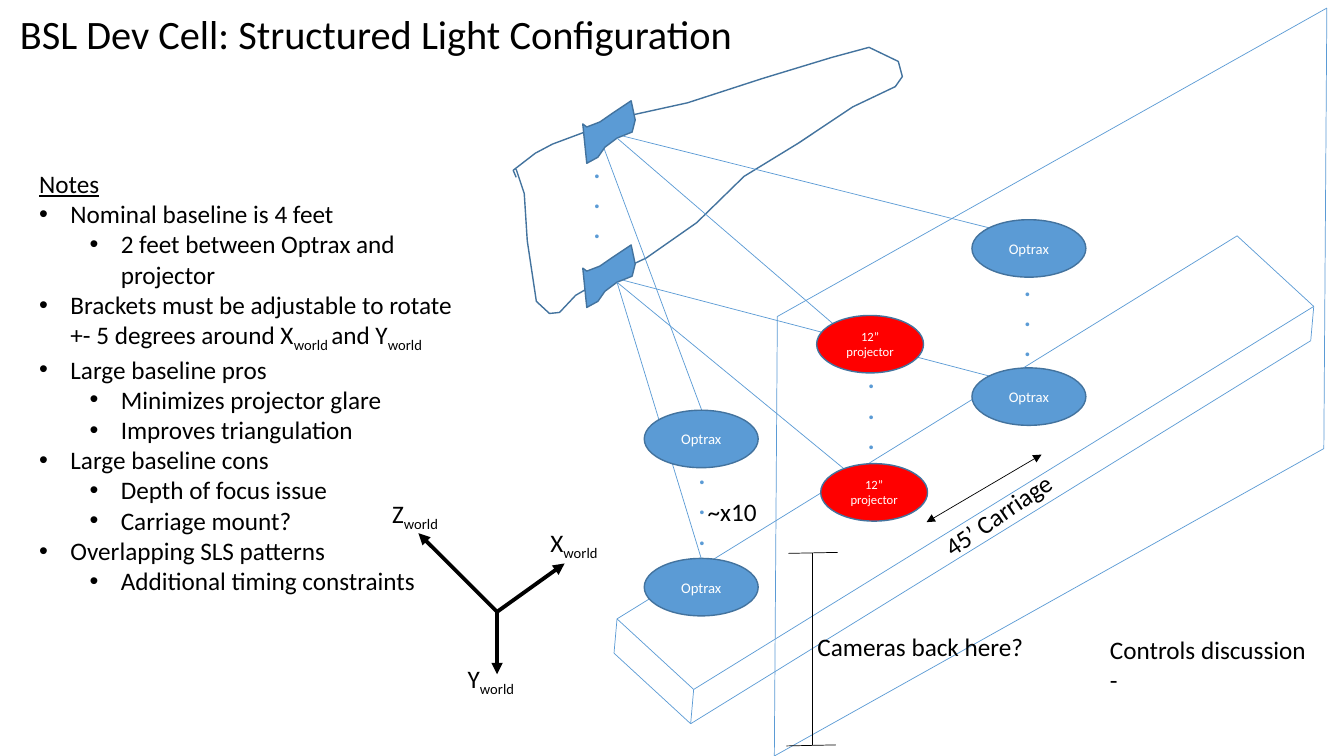
import pptx
import pptx.util
import pptx.dml.color
import pptx.enum.shapes
import pptx.enum.text
import pptx.oxml
import pptx.oxml.ns

PX = 9144  # 100 px to the inch
HUE = {"blue": "5B9BD5", "edge": "43739E", "red": "FF0000", "ink": "000000", "white": "FFFFFF"}
NS = pptx.oxml.ns.nsdecls("a")

WING = [
    (512, 168), (520, 192), (523, 239), (532, 299), (545, 311), (555, 310), (571, 293),
    (609, 271), (641, 256), (691, 221), (738, 175), (792, 142), (846, 106), (888, 86),
    (895, 76), (891, 61), (862, 47), (825, 57), (756, 78), (682, 102), (623, 115),
    (548, 143), (531, 152), (509, 169), (512, 176)]
FLAG = [
    (0, 23), (4, 62), (15, 56), (22, 46), (34, 37), (49, 31), (52, 19), (48, 0),
    (30, 12), (17, 21), (4, 26)]
NOTES = [
    (0, "Nominal baseline is 4 feet"),
    (1, "2 feet between {} and projector"),
    (0, "Brackets must be adjustable to rotate +- 5 degrees around X|world |and Y|world"),
    (0, "Large baseline pros"),
    (1, "Minimizes projector glare"),
    (1, "Improves triangulation"),
    (0, "Large baseline cons"),
    (1, "Depth of focus issue"),
    (1, "Carriage mount?"),
    (0, "Overlapping SLS patterns"),
    (1, "Additional timing constraints")]
CAM = "Optrax"
STEP = 147  # from one camera or lamp to the next below


def rgb(name):
    return pptx.dml.color.RGBColor.from_string(HUE[name])


class Pen:
    def __init__(self, slide):
        self.shapes = slide.shapes
        self.font = "Calibri"

    def style(self, para, size, hue, bold=None):
        for run in para.runs:
            font = run.font
            font.name, font.size, font.bold = self.font, pptx.util.Pt(size), bold
            font.color.rgb = rgb(hue)

    def fill(self, para, text):
        """Write text; every second part between bars is a subscript."""
        for i, part in enumerate(text.split("|")):
            run = para.add_run()
            run.text = part
            if i % 2:
                run._r.get_or_add_rPr().set("baseline", "-25000")

    def line(self, x1, y1, x2, y2, hue="blue", width=0.5, ends=(), home=None):
        kind = pptx.enum.shapes.MSO_CONNECTOR.STRAIGHT
        link = (home or self).shapes.add_connector(kind, *[v * PX for v in (x1, y1, x2, y2)])
        link.line.color.rgb = rgb(hue)
        link.line.width = pptx.util.Pt(width)
        for end in ends:
            link.line._get_or_add_ln().append(
                pptx.oxml.parse_xml(f'<a:{end} {NS} type="triangle"/>'))
        link._element.spPr.append(pptx.oxml.parse_xml(f"<a:effectLst {NS}/>"))
        return link

    def edge(self, shape, hue):
        shape.shadow.inherit = False
        if hue:
            shape.fill.solid()
            shape.fill.fore_color.rgb = rgb(hue)
        else:
            shape.fill.background()
        shape.line.color.rgb = rgb("edge")
        shape.line.width = pptx.util.Pt(1)

    def free(self, pts, x=0, y=0, hue=None):
        path = self.shapes.build_freeform(*pts[0], scale=PX)
        path.add_line_segments(pts[1:], close=bool(hue))
        self.edge(path.convert_to_shape(x * PX, y * PX), hue)

    def oval(self, x, y, w, text, size, hue):
        kind = pptx.enum.shapes.MSO_SHAPE.OVAL
        oval = self.shapes.add_shape(kind, x * PX, y * PX, w * PX, 57 * PX)
        self.edge(oval, hue)
        frame = oval.text_frame
        frame.text = text
        frame.vertical_anchor = pptx.enum.text.MSO_ANCHOR.MIDDLE
        for para in frame.paragraphs:
            para.alignment = pptx.enum.text.PP_ALIGN.CENTER
            self.style(para, size, "white")
        return oval

    def camera(self, x, y):
        return self.oval(x, y, 113, CAM, 10.5, "blue")

    def lamp(self, x, y):
        return self.oval(x, y, 106, "12”\nprojector", 9, "red")

    def text(self, x, y, w, h, text, size=18, hue="ink", bold=None, wrap=False):
        box = self.shapes.add_textbox(x * PX, y * PX, w * PX, h * PX)
        frame = box.text_frame
        frame.word_wrap = wrap
        for i, row in enumerate(text.split("\n")):
            para = frame.add_paragraph() if i else frame.paragraphs[0]
            self.fill(para, row)
            self.style(para, size, hue, bold)
        return box

    def dots(self, x, y):
        self.text(x, y, 27, 101, ".\n.\n.", hue="blue", bold=True)

    def bullet(self, frame, level, text):
        para = frame.add_paragraph()
        para.level = level
        props = para._p.get_or_add_pPr()
        props.set("marL", str((31 + 50 * level) * PX))
        props.set("indent", str(-31 * PX))
        props.append(pptx.oxml.parse_xml(f'<a:buFont {NS} typeface="Arial"/>'))
        props.append(pptx.oxml.parse_xml(f'<a:buChar {NS} char="•"/>'))
        self.fill(para, text)
        self.style(para, 18, "ink")


def main():
    deck = pptx.Presentation()
    deck.slide_width, deck.slide_height = 1333 * PX, 750 * PX
    pen = Pen(deck.slides.add_slide(deck.slide_layouts[6]))

    # Bench: a long box seen from one end
    near, side, far = (612, 614), (688, 684), (1227, 234)
    tip = (far[0] + 76, far[1] + 70)
    drop = (-3, 34)
    for a, b in [(near, side), (far, tip), (near, far), (side, tip)]:
        pen.line(*a, *b)
    under = [(x + drop[0], y + drop[1]) for x, y in (near, side, tip)]

    # Wing with two targets, and the rays to cameras and lamps
    pen.free(WING)
    low = pen.camera(639, 407 + STEP)
    for i, foot in enumerate([(599, 147), (612, 280)]):
        top = 143 * i
        fall = STEP * i
        ray = pen.line(696, 407 + fall, *foot)
        if i:
            ray.begin_connect(low, 0)
        pen.free(FLAG, 578, 100 + top, "blue")
        pen.line(981, 226 + fall, 618, 135 + top)
        pen.line(826 + 11 * i, 321 + 144 * i, 612, 137 + top)
    pen.lamp(810, 313)
    for spot in [(579, 147), (683, 451), (851, 356), (1006, 264)]:
        pen.dots(*spot)

    axes = pen.shapes.add_group_shape()
    for name, x, y, left, top in [("X", 560, 559, 536, 518), ("Z", 415, 529, 379, 489),
                                  ("Y", 493, 669, 454, 653)]:
        pen.line(493, 607, x, y, "ink", 2.75, ["tailEnd"], axes)
        pen.text(left, top, 72, 40, name + "|world")

    for a, b in zip(under, under[1:]):
        pen.line(*a, *b)
    for a, b in zip((near, side, tip), under):
        pen.line(*a, *b)

    pen.text(919, 490, 143, 40, "45’ Carriage").rotation = 325.7
    pen.line(1033, 451, 919, 518, "ink", ends=["headEnd", "tailEnd"])
    pen.lamp(814, 313 + STEP)
    title = pen.text(10, 8, 1076, 56, "BSL Dev Cell: Structured Light Configuration", 28.8, wrap=True)
    title.text_frame.vertical_anchor = pptx.enum.text.MSO_ANCHOR.MIDDLE
    title.text_frame.paragraphs[0].line_spacing = 0.9
    for spot in [(639, 407), (964, 218 + STEP), (964, 218)]:
        pen.camera(*spot)

    notes = pen.text(29, 162, 446, 495, "Notes", wrap=True).text_frame
    notes.paragraphs[0].runs[0].font.underline = True
    for level, text in NOTES:
        pen.bullet(notes, level, text.format(CAM))
    pen.text(692, 487, 69, 40, "~x10")

    # Wall, then the height mark
    wall = [(768, 750), (771, 314), (1316, 8), (1313, 445)]
    for a, b in zip(wall, wall[1:] + wall[:1]):
        pen.line(*a, *b)
    for x, y in [(782, 549), (780, 740)]:
        pen.line(x, y, x + 49, y - 1, "ink")
    pen.line(806, 549, 806, 739, "ink")
    pen.text(801, 621, 227, 40, "Cameras back here?")
    pen.text(1091, 624, 217, 71, "Controls discussion\n-")
    deck.save("out.pptx")


if __name__ == "__main__":
    main()
